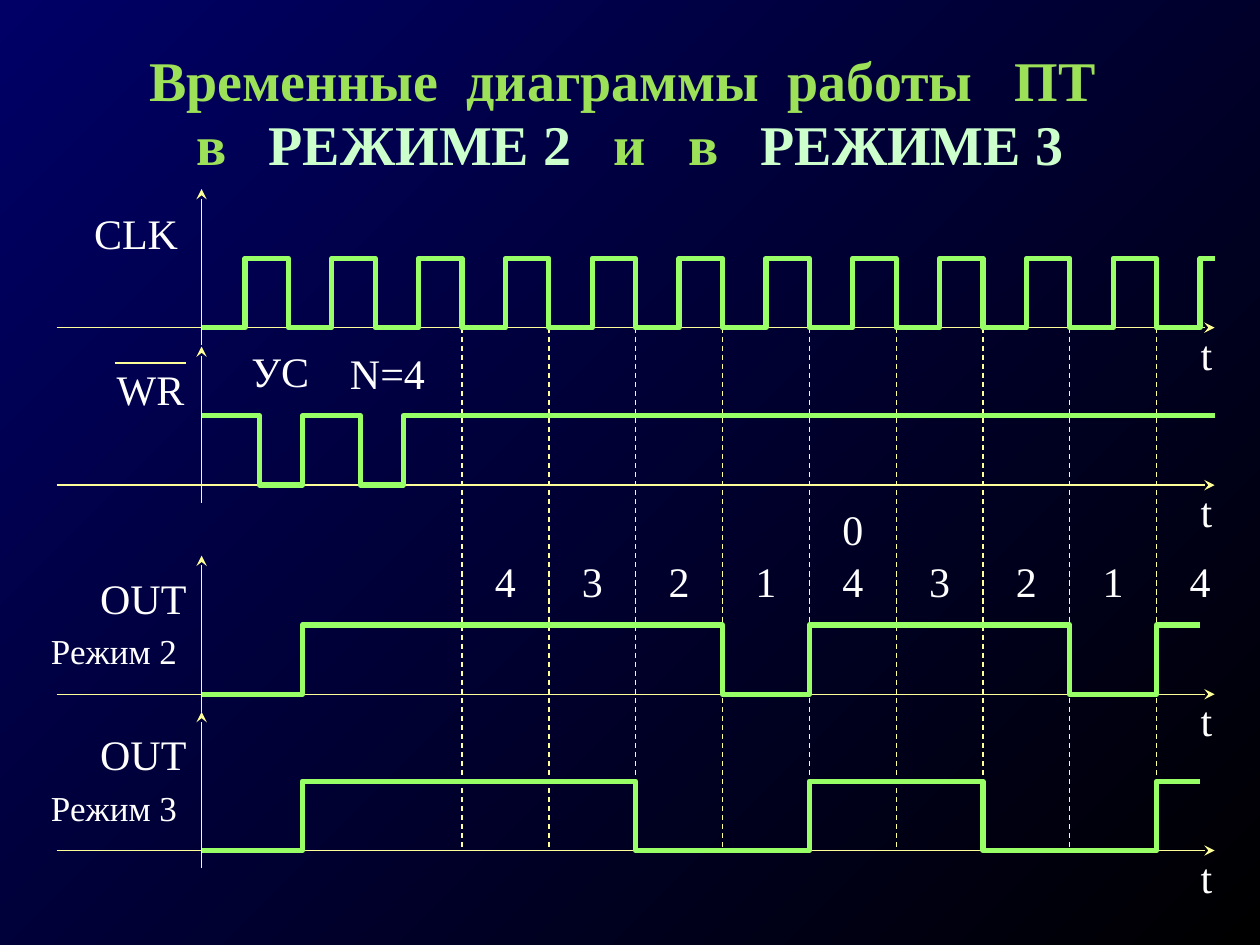
from dataclasses import dataclass

from lxml import etree
from pptx import Presentation
from pptx.dml.color import RGBColor
from pptx.enum.dml import MSO_LINE
from pptx.enum.shapes import MSO_CONNECTOR
from pptx.enum.text import MSO_ANCHOR, MSO_AUTO_SIZE, PP_ALIGN
from pptx.oxml.ns import qn
from pptx.util import Inches, Pt

CENTER, RIGHT = PP_ALIGN.CENTER, PP_ALIGN.RIGHT
TOP, MIDDLE = MSO_ANCHOR.TOP, MSO_ANCHOR.MIDDLE
NO_FIT = MSO_AUTO_SIZE.NONE
STRAIGHT = MSO_CONNECTOR.STRAIGHT
DASH = MSO_LINE.DASH


@dataclass
class Theme:
    font: str = "Times New Roman"
    head: int = 32
    label: int = 24
    small: int = 20
    white: str = "FFFFFF"
    green: str = "9CE157"
    mint: str = "CCFFCC"
    axis: str = "FFFF99"
    wave: str = "99FF66"
    back: tuple = ("000066", "000000")


# Time grid: half clock periods from the vertical axis
LEFT, ZERO, END = 0.45, 1.6, 9.64
TICK = (9.18 - ZERO) / 22
HIGH = 0.55
CLK, WR, MODE2, MODE3 = 2.6, 3.85, 5.51, 6.75


def at(tick):
    return ZERO + tick * TICK


class Board:
    def __init__(self, slide, theme):
        self.slide = slide
        self.theme = theme

    def paint(self):
        fill = self.slide.background.fill
        fill.gradient()
        fill.gradient_angle = 315
        for stop, color in zip(fill.gradient_stops, self.theme.back):
            stop.color.rgb = RGBColor.from_string(color)

    def run(self, para, text, size, color, bold=False):
        run = para.add_run()
        run.text = text
        font = run.font
        font.name, font.size, font.bold = self.theme.font, Pt(size), bold
        font.color.rgb = RGBColor.from_string(color)

    def title(self, lines):
        box = self.slide.shapes.title
        box.left, box.top = Inches(0.75), Inches(0.37)
        box.width, box.height = Inches(8.5), Inches(1.08)
        frame = box.text_frame
        frame.auto_size, frame.vertical_anchor = NO_FIT, TOP
        for i, line in enumerate(lines):
            para = frame.add_paragraph() if i else frame.paragraphs[0]
            para.alignment, para.line_spacing = CENTER, 0.9
            para.space_before = Pt(2 if i else 0)
            for text, color in line:
                self.run(para, text, self.theme.head, color, True)

    def label(self, text, x, y, width, size=None, align=CENTER):
        box = self.slide.shapes.add_textbox(
            Inches(x), Inches(y), Inches(width), Inches(0.41))
        frame = box.text_frame
        frame.word_wrap, frame.vertical_anchor = True, MIDDLE
        frame.margin_left = frame.margin_right = 0
        frame.margin_top = frame.margin_bottom = 0
        para = frame.paragraphs[0]
        para.alignment = align
        self.run(para, text, size or self.theme.label, self.theme.white)

    def line(self, start, end, width=0.75, dash=False, arrow=False):
        link = self.slide.shapes.add_connector(
            STRAIGHT, *[Inches(v) for v in (*start, *end)])
        link.line.color.rgb = RGBColor.from_string(self.theme.axis)
        link.line.width = Pt(width)
        if dash:
            link.line.dash_style = DASH
        if arrow:
            tip = etree.SubElement(link.line._get_or_add_ln(), qn("a:tailEnd"))
            tip.set("type", "stealth")
        etree.SubElement(link._element.spPr, qn("a:effectLst"))

    def axes(self, base):
        self.line((LEFT, base), (END, base), arrow=True)
        self.line((ZERO, base + 0.14), (ZERO, base - 1.1), arrow=True)
        self.label("t", 9.4, base, 0.35)

    def wave(self, base, flips, end, up=False):
        """Draw a signal that changes level at each place in flips."""
        level = base - HIGH if up else base
        start, points = (ZERO, level), []
        for x in flips:
            points.append((x, level))
            level = 2 * base - HIGH - level
            points.append((x, level))
        points.append((end, level))
        form = self.slide.shapes.build_freeform(*[Inches(v) for v in start])
        form.add_line_segments(
            [(Inches(x), Inches(y)) for x, y in points], close=False)
        shape = form.convert_to_shape()
        shape.shadow.inherit = False
        shape.fill.background()
        shape.line.color.rgb = RGBColor.from_string(self.theme.wave)
        shape.line.width = Pt(3)


def main():
    deck = Presentation()
    deck.slide_width, deck.slide_height = Inches(10), Inches(7.5)
    theme = Theme()
    board = Board(deck.slides.add_slide(deck.slide_layouts[5]), theme)
    board.paint()

    # Title
    board.title([
        [("Временные  диаграммы  работы   ПТ ", theme.green)],
        [("в   ", theme.green), ("РЕЖИМЕ 2", theme.mint),
         ("   и   в   ", theme.green), ("РЕЖИМЕ 3", theme.mint)],
    ])

    # Axes and clock edge guides
    for base in (CLK, WR, MODE2, MODE3):
        board.axes(base)
    for tick in range(6, 23, 2):
        board.line((at(tick), CLK), (at(tick), MODE3), dash=True)

    # Signals
    board.wave(CLK, [at(n) for n in range(1, 24)], END)
    board.wave(WR, [2.06, 2.4, 2.86, 3.2], END, up=True)
    for base, ticks in ((MODE2, (12, 14, 20, 22)),
                        (MODE3, (10, 14, 18, 22))):
        board.wave(base, [2.4] + [at(n) for n in ticks], at(23))

    # Signal names
    board.label("CLK", 0.68, 1.64, 0.8)
    board.label("WR", 0.91, 2.88, 0.57)
    board.line((0.91, 2.88), (1.48, 2.88), width=1)
    for base, name in ((MODE2, "Режим 2"), (MODE3, "Режим 3")):
        board.label("OUT", 0.68, base - 0.97, 0.8, align=RIGHT)
        board.label(name, 0.33, base - HIGH, 1.15, theme.small)

    # Written words and counter states
    board.label("УС", 1.94, 2.74, 0.57)
    board.label("N=4", 2.74, 2.75, 0.67)
    for i, count in enumerate("432143214"):
        board.label(count, at(7 + 2 * i) - 0.23, 4.4, 0.46)
    board.label("0", at(15) - 0.23, 3.99, 0.46)

    deck.save("out.pptx")


if __name__ == "__main__":
    main()
